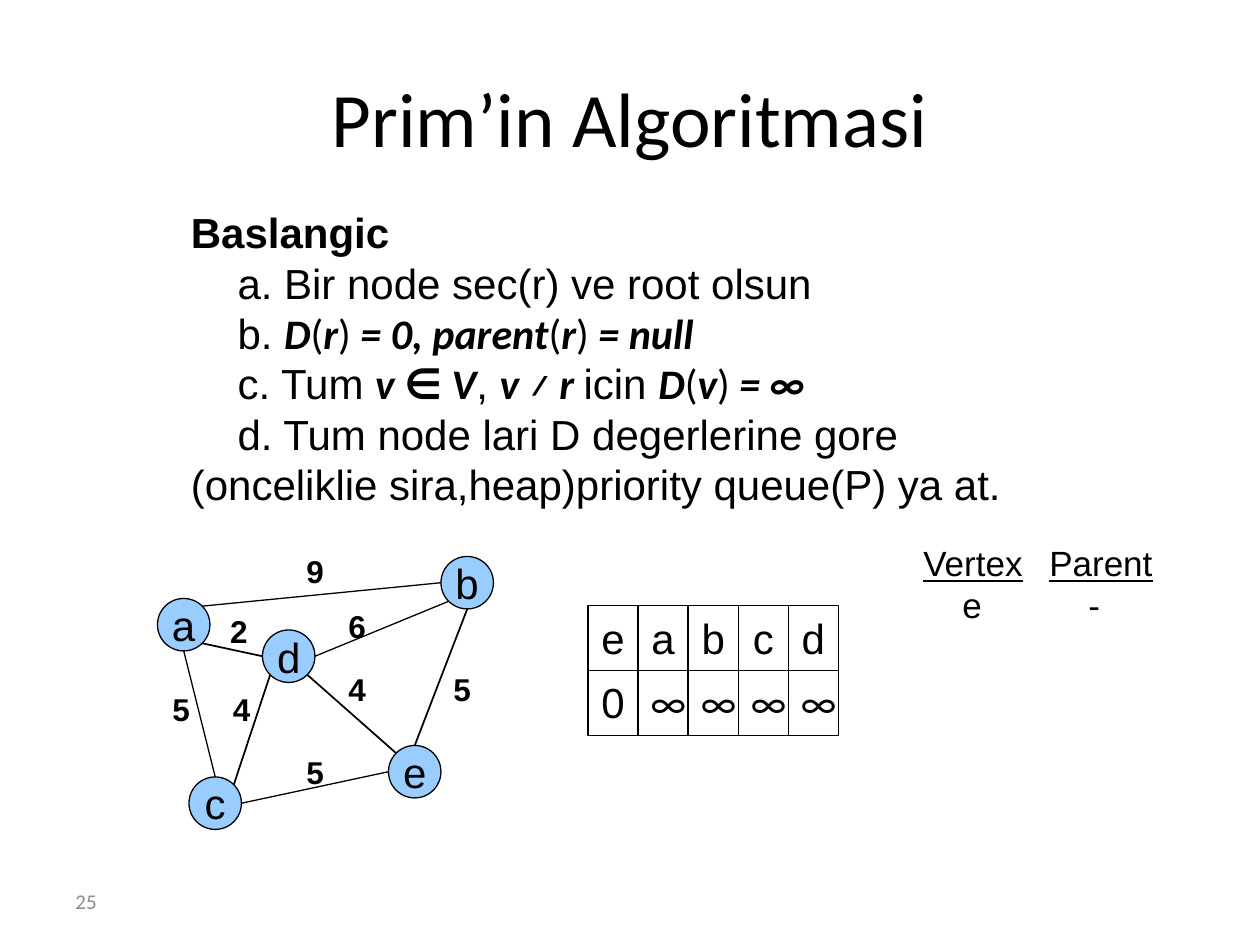
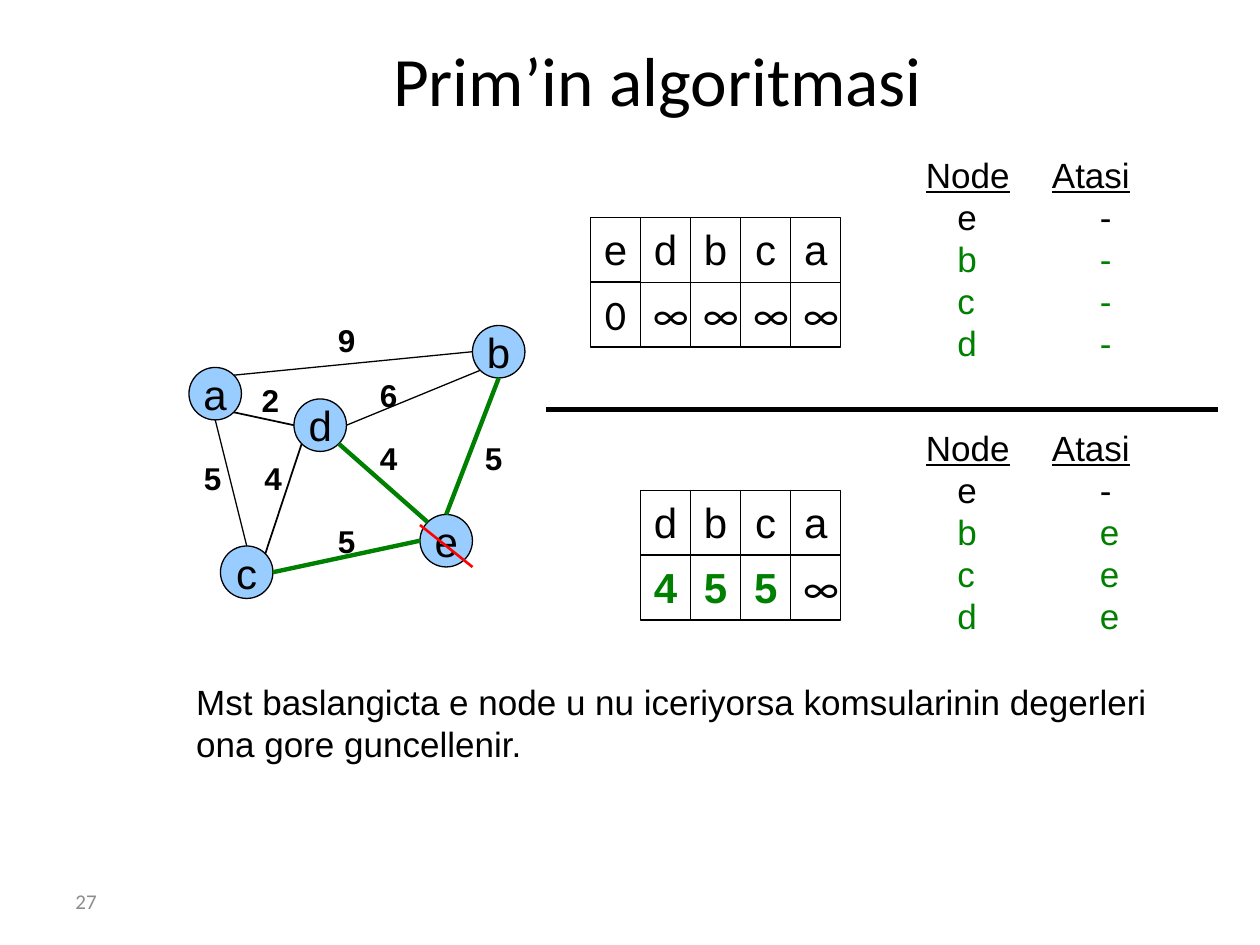
from dataclasses import dataclass, replace
from math import sqrt
from typing import NamedTuple

import pptx
import pptx.dml.color
import pptx.enum.shapes
import pptx.enum.text
import pptx.oxml
import pptx.oxml.ns
import pptx.util

ANCHOR = pptx.enum.text.MSO_ANCHOR
ALIGN = pptx.enum.text.PP_ALIGN
SHAPE = pptx.enum.shapes.MSO_SHAPE


# --- Theme ---
@dataclass(frozen=True)
class Style:
    size: float
    font: str = "Arial"
    color: str = "000000"
    bold: bool = False
    italic: bool = False
    underline: bool = False


@dataclass(frozen=True)
class Theme:
    ink: str = "000000"
    node_fill: str = "99CCFF"
    tree: str = "008000"
    strike: str = "FF0000"
    thin: float = 0.75
    tree_width: float = 2.5
    title: Style = Style(44, "Calibri")
    small_title: Style = Style(39.6, "Calibri")
    number: Style = Style(12, "Calibri", "8C8C8C")
    body: Style = Style(24)
    text: Style = Style(20)
    weight: Style = Style(18, bold=True)


THEME = Theme()
PLAIN = THEME.body
HEAD = replace(PLAIN, bold=True)
PAREN = replace(PLAIN, font="Calibri")
SYMBOL = replace(PAREN, bold=True)
MATH = replace(SYMBOL, italic=True)
UPDATED = replace(HEAD, color=THEME.tree)
COLUMN_HEAD = replace(THEME.text, underline=True)
ADDED_ROW = replace(THEME.text, color=THEME.tree)

# --- Grid: 120 columns by 90 rows on a 10 x 7.5 inch slide ---
SLIDE_W, SLIDE_H = pptx.util.Inches(10), pptx.util.Inches(7.5)
COLUMNS, ROWS = 120, 90
NODE_SIZE = 5
CELL_W, CELL_H = 4.77, 6.18


def x_at(col: float) -> int:
    return round(SLIDE_W * col / COLUMNS)


def y_at(row: float) -> int:
    return round(SLIDE_H * row / ROWS)


class Point(NamedTuple):
    col: float
    row: float


class Box(NamedTuple):
    col: float
    row: float
    width: float
    height: float

    def emu(self) -> tuple[int, int, int, int]:
        return x_at(self.col), y_at(self.row), x_at(self.width), y_at(self.height)


class Span(NamedTuple):
    text: str
    style: Style


class Edge(NamedTuple):
    start: str
    start_side: str
    end: str
    end_side: str
    weight: str
    label: Point
    width: float = THEME.thin


class Cell(NamedTuple):
    text: str
    style: Style = PLAIN
    border: float = THEME.thin


class Queue(NamedTuple):
    origin: Point
    rows: list[list[Cell]]


class ParentList(NamedTuple):
    box: Box
    heads: tuple[str, str]
    tabs: tuple[float, ...]
    pairs: list[tuple[str, str]]


# --- The weighted graph, relative to its top left corner ---
NODES = {"a": Point(0, 4), "c": Point(3, 21), "e": Point(22, 18),
         "d": Point(10, 7), "b": Point(27, 0)}
EDGES = [
    Edge("a", "NE", "b", "W", "9", Point(13, -1)),
    Edge("d", "E", "b", "SW", "6", Point(17, 4.2)),
    Edge("a", "S", "c", "N", "5", Point(0.25, 12.1)),
    Edge("a", "SE", "d", "W", "2", Point(5.75, 4.7), 1),
    Edge("c", "NE", "d", "SW", "4", Point(6, 12.1), 1),
    Edge("d", "SE", "e", "NW", "4", Point(17, 10.2), 1),
    Edge("b", "S", "e", "N", "5", Point(27, 10.2), 1),
    Edge("e", "W", "c", "E", "5", Point(13, 18.1)),
]
INFINITY = Cell("∞", PAREN)

# --- Start-up steps of the algorithm ---
STEPS = [
    [Span("Baslangic", HEAD)],
    [Span("\ta. Bir node sec(r) ve root olsun", PLAIN)],
    [Span("\tb. ", PLAIN), Span("D", MATH), Span("(", PAREN), Span("r", MATH),
     Span(")", PAREN), Span(" = 0, parent", MATH), Span("(", PAREN),
     Span("r", MATH), Span(")", PAREN), Span(" = null", MATH)],
    [Span("\tc. Tum ", PLAIN), Span("v ", MATH), Span("∈", SYMBOL),
     Span(" V", MATH), Span(", ", PLAIN), Span("v ≠ r ", MATH),
     Span("icin ", PLAIN), Span("D", MATH), Span("(", PAREN), Span("v", MATH),
     Span(")", PAREN), Span(" = ∞", MATH)],
    [Span("\td. Tum node lari D degerlerine gore "
          "(onceliklie sira,heap)priority queue(P) ya at.", PLAIN)],
]


# --- Drawing functions ---
def rgb(color: str) -> pptx.dml.color.RGBColor:
    return pptx.dml.color.RGBColor.from_string(color)


def format_run(r, style: Style) -> None:
    r.font.size = pptx.util.Pt(style.size)
    r.font.name = style.font
    r.font.color.rgb = rgb(style.color)
    r.font.bold, r.font.italic = style.bold, style.italic
    r.font.underline = style.underline


def set_tabs(p, tabs: tuple[float, ...]) -> None:
    tab_list = pptx.oxml.ns.qn("a:tabLst")
    stops = p._p.get_or_add_pPr().makeelement(tab_list, {})
    for tab in tabs:
        stop = stops.makeelement(pptx.oxml.ns.qn("a:tab"),
                                 {"pos": str(pptx.util.Inches(tab)), "algn": "l"})
        stops.append(stop)
    p._p.get_or_add_pPr().append(stops)


def write(tf, lines: list[list[Span]], align=ALIGN.LEFT, anchor=ANCHOR.TOP,
          wrap: bool = True, tabs: tuple[float, ...] = ()) -> None:
    tf.word_wrap, tf.vertical_anchor = wrap, anchor
    for i, line in enumerate(lines):
        p = tf.add_paragraph() if i else tf.paragraphs[0]
        p.alignment = align
        if tabs:
            set_tabs(p, tabs)
        for span in line:
            r = p.add_run()
            r.text = span.text
            format_run(r, span.style)


def add_text(slide, box: Box, lines: list[list[Span]], **layout) -> None:
    write(slide.shapes.add_textbox(*box.emu()).text_frame, lines, **layout)


def add_outlined(slide, kind, box: Box, text: Span, fill: str = "",
                 border: float = THEME.thin, **layout) -> None:
    sp = slide.shapes.add_shape(kind, *box.emu())
    sp.shadow.inherit = False
    if fill:
        sp.fill.solid()
        sp.fill.fore_color.rgb = rgb(fill)
    else:
        sp.fill.background()
    sp.line.color.rgb = rgb(THEME.ink)
    sp.line.width = pptx.util.Pt(border)
    write(sp.text_frame, [[text]], align=ALIGN.CENTER, **layout)


def add_line(slide, start: Point, end: Point, width: float,
             color: str = THEME.ink) -> None:
    cxn = slide.shapes.add_connector(
        pptx.enum.shapes.MSO_CONNECTOR.STRAIGHT, x_at(start.col), y_at(start.row),
        x_at(end.col), y_at(end.row))
    cxn.line.color.rgb = rgb(color)
    cxn.line.width = pptx.util.Pt(width)
    props = cxn._element.spPr
    props.append(props.makeelement(pptx.oxml.ns.qn("a:effectLst"), {}))


def rim(origin: Point, name: str, side: str) -> Point:
    """Point on a node's circle in a compass direction."""
    dx = ("E" in side) - ("W" in side)
    dy = ("S" in side) - ("N" in side)
    radius = NODE_SIZE / 2
    reach = radius / sqrt(dx * dx + dy * dy)
    node = NODES[name]
    return Point(origin.col + node.col + radius + dx * reach,
                 origin.row + node.row + radius + dy * reach)


def add_graph(slide, origin: Point, tree: tuple[str, ...] = ()) -> None:
    for name, node in NODES.items():
        box = Box(origin.col + node.col, origin.row + node.row, NODE_SIZE, NODE_SIZE)
        add_outlined(slide, SHAPE.OVAL, box, Span(name, PLAIN), THEME.node_fill,
                     anchor=ANCHOR.MIDDLE, wrap=False)
    for edge in EDGES:
        in_tree = edge.start + edge.end in tree
        add_line(slide, rim(origin, edge.start, edge.start_side),
                 rim(origin, edge.end, edge.end_side),
                 THEME.tree_width if in_tree else edge.width,
                 THEME.tree if in_tree else THEME.ink)
    for edge in EDGES:
        box = Box(origin.col + edge.label.col, origin.row + edge.label.row, 4.08, 4.8)
        add_text(slide, box, [[Span(edge.weight, THEME.weight)]], wrap=False)


def add_queue(slide, queue: Queue) -> None:
    for i, row in enumerate(queue.rows):
        for j, cell in enumerate(row):
            box = Box(queue.origin.col + j * CELL_W, queue.origin.row + i * CELL_H,
                      CELL_W, CELL_H)
            add_outlined(slide, SHAPE.RECTANGLE, box, Span(cell.text, cell.style),
                         border=cell.border)


def add_parents(slide, parents: ParentList) -> None:
    lines = [[Span("\t".join(parents.heads), COLUMN_HEAD)]]
    for i, (node, parent) in enumerate(parents.pairs):
        style = ADDED_ROW if i else THEME.text
        lines.append([Span(f"\t{node}\t\t{parent}", style)])
    add_text(slide, parents.box, lines, wrap=False, tabs=parents.tabs)


def new_slide(prs, title: str, box: Box, style: Style, number: str):
    slide = prs.slides.add_slide(prs.slide_layouts[6])
    add_text(slide, Box(6, 83.4, 28, 4.8), [[Span(number, THEME.number)]],
             anchor=ANCHOR.MIDDLE)
    add_text(slide, box, [[Span(title, style)]], align=ALIGN.CENTER,
             anchor=ANCHOR.MIDDLE)
    return slide


# --- Slides ---
def build_start(prs) -> None:
    slide = new_slide(prs, "Prim’in Algoritmasi", Box(6, 3.6, 108, 15),
                      THEME.title, "25")
    add_text(slide, Box(17, 19.1, 86, 30.2), STEPS, tabs=(0.37, 0.74))
    add_graph(slide, Point(15, 53))
    add_queue(slide, Queue(Point(56, 57.7), [[Cell(n) for n in "eabcd"],
                                             [Cell("0")] + [INFINITY] * 4]))
    add_parents(slide, ParentList(Box(86.75, 51, 24.25, 9.2), ("Vertex", "Parent"),
                                  (0.31, 1, 1.31), [("e", "-")]))


def build_first_update(prs) -> None:
    slide = new_slide(prs, "Prim’in algoritmasi", Box(5.3, 3, 114.7, 9),
                      THEME.small_title, "27")
    add_graph(slide, Point(18, 31), tree=("de", "be", "ec"))
    add_line(slide, Point(40, 50), Point(45, 54), 1.5, THEME.strike)
    add_line(slide, Point(52, 39), Point(116, 39), 3)

    # Queue before and after e is taken out
    waiting = [Cell(n) for n in "dbca"]
    add_queue(slide, Queue(Point(61, 20.7), [waiting, [INFINITY] * 4]))
    add_queue(slide, Queue(Point(56.25, 20.7), [[Cell("e", border=0.5)],
                                                [Cell("0", PAREN, 1)]]))
    add_queue(slide, Queue(Point(61, 46.7),
                           [waiting, [Cell(n, UPDATED) for n in "455"] + [INFINITY]]))

    # Parents before and after
    for row, parents in ((14, "----"), (40, "-eee")):
        add_parents(slide, ParentList(Box(87, row, 22, 21.4), ("Node", "Atasi"),
                                      (0.25, 1, 1.38), list(zip("ebcd", parents))))
    add_text(slide, Box(17.5, 64.2, 94.5, 9.2), [
        [Span("Mst baslangicta e node u nu iceriyorsa komsularinin degerleri",
              THEME.text)],
        [Span("ona gore guncellenir.", THEME.text)]], wrap=False)


def main() -> None:
    prs = pptx.Presentation()
    prs.slide_width, prs.slide_height = SLIDE_W, SLIDE_H
    build_start(prs)
    build_first_update(prs)
    prs.save("out.pptx")


if __name__ == "__main__":
    main()
